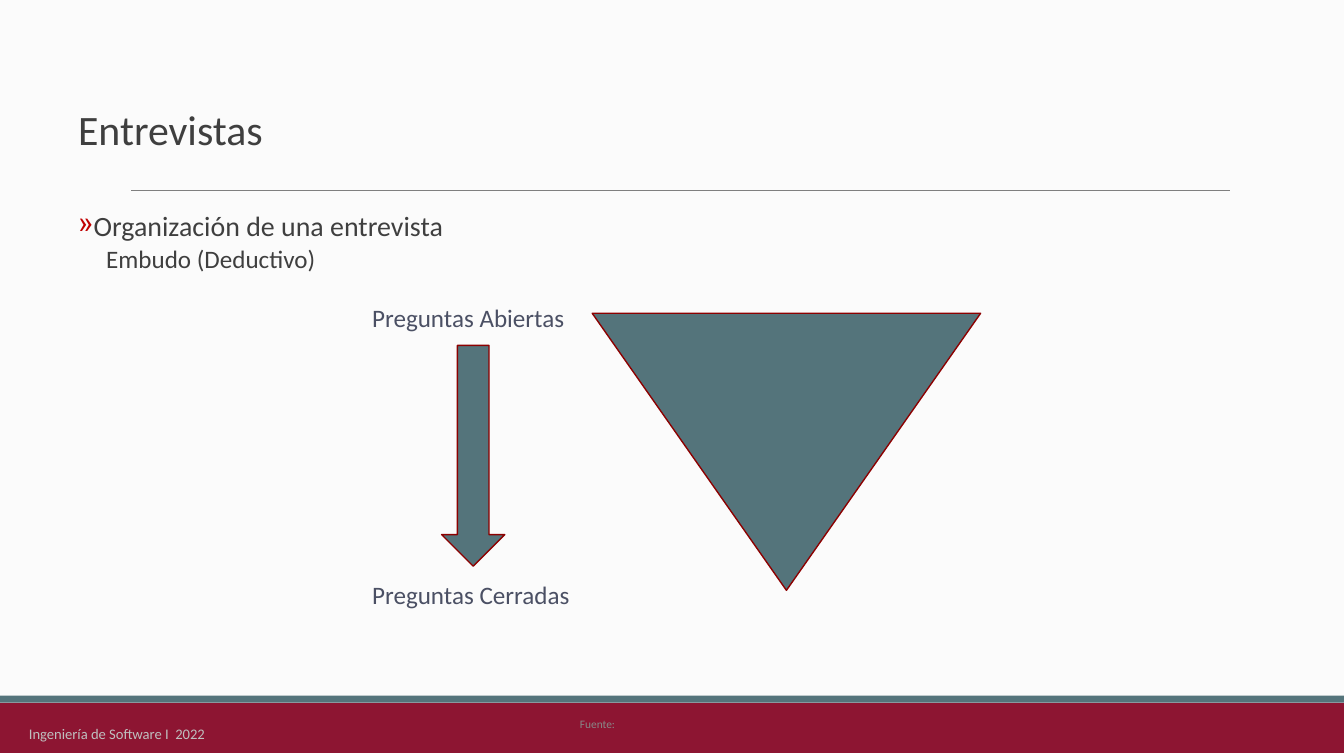
from lxml.etree import SubElement
from pptx import Presentation
from pptx.dml.color import RGBColor
from pptx.enum.shapes import MSO_CONNECTOR, MSO_SHAPE
from pptx.enum.text import MSO_ANCHOR
from pptx.oxml.ns import qn
from pptx.util import Inches, Pt

COLORS = {
    "background": "FBFBFB",
    "crimson": "8D1532",
    "teal": "54747B",
    "outline": "8C0000",
    "rule": "7F7F7F",
    "text": "3F3F3F",
    "label": "4B5064",
    "bullet": "C00000",
    "source": "888888",
    "footer": "BFBFBF",
}


def color(name):
    return RGBColor.from_string(COLORS[name])


def add_text(left, top, width, height, lines, font_color, wrap=True):
    """Add a text box from (text, size) lines and return its text frame."""
    box = page.shapes.add_textbox(Inches(left), Inches(top), Inches(width), Inches(height))
    frame = box.text_frame
    frame.word_wrap = wrap
    for index, (text, size) in enumerate(lines):
        para = frame.add_paragraph() if index else frame.paragraphs[0]
        span = para.add_run()
        span.text = text
        span.font.name = "Calibri"
        span.font.size = Pt(size)
        span.font.color.rgb = color(font_color)
    return frame


deck = Presentation()
deck.slide_width = Inches(13.39)
deck.slide_height = Inches(7.5)
page = deck.slides.add_slide(deck.slide_layouts[6])
page.background.fill.solid()
page.background.fill.fore_color.rgb = color("background")

# Footer bands, funnel and arrow
shapes = [
    (MSO_SHAPE.RECTANGLE, 0, 7, 13.39, 0.5, "crimson", None, 0),
    (MSO_SHAPE.RECTANGLE, 0, 6.93, 13.39, 0.07, "teal", None, 0),
    (MSO_SHAPE.ISOSCELES_TRIANGLE, 5.9, 3.12, 3.87, 2.76, "teal", "outline", 180),
    (MSO_SHAPE.DOWN_ARROW, 4.4, 3.44, 0.63, 2.2, "teal", "outline", 0),
]
for kind, left, top, width, height, fill, line, rotation in shapes:
    shape = page.shapes.add_shape(kind, Inches(left), Inches(top), Inches(width), Inches(height))
    shape.shadow.inherit = False
    shape.rotation = rotation
    shape.fill.solid()
    shape.fill.fore_color.rgb = color(fill)
    if line:
        shape.line.color.rgb = color(line)
        shape.line.width = Pt(1)
    else:
        shape.line.fill.background()

# Rule under the title
rule = page.shapes.add_connector(
    MSO_CONNECTOR.STRAIGHT, Inches(1.31), Inches(1.9), Inches(12.25), Inches(1.9))
rule.line.color.rgb = color("rule")
rule.line.width = Pt(0.75)
SubElement(rule._element.spPr, qn("a:effectLst"))

title = add_text(0.68, 0.7, 11.83, 1.24, [("Entrevistas", 30)], "text")
title.vertical_anchor = MSO_ANCHOR.MIDDLE
title.paragraphs[0].line_spacing = 0.85

body = add_text(0.68, 2.08, 10.75, 4.9,
                [("Organización de una entrevista", 20), ("Embudo (Deductivo)", 18)], "text")
topic, method = body.paragraphs
topic.line_spacing = method.line_spacing = 0.85
method.space_before = Pt(4.5)
method.level = 1
topic_format = topic._p.get_or_add_pPr()
topic_format.set("marL", str(Inches(0.07)))
topic_format.set("indent", str(Inches(-0.12)))
bullet_color = SubElement(topic_format, qn("a:buClr"))
SubElement(bullet_color, qn("a:srgbClr"), val=COLORS["bullet"])
SubElement(topic_format, qn("a:buChar"), char="»")
method_format = method._p.get_or_add_pPr()
method_format.set("marL", str(Inches(0.28)))
method_format.set("indent", "0")

# Labels at both ends of the arrow
for text, top in [("Preguntas Abiertas", 2.96), ("Preguntas Cerradas", 5.72)]:
    add_text(3.61, top, 2.18, 0.71, [(text, 18)], "label", wrap=False)

add_text(5.68, 7.09, 0.73, 0.24, [("Fuente:", 8.2)], "source", wrap=False)
add_text(0.19, 7.17, 2.37, 0.23, [("Ingeniería de Software I  2022", 10.5)], "footer")

deck.save("out.pptx")
